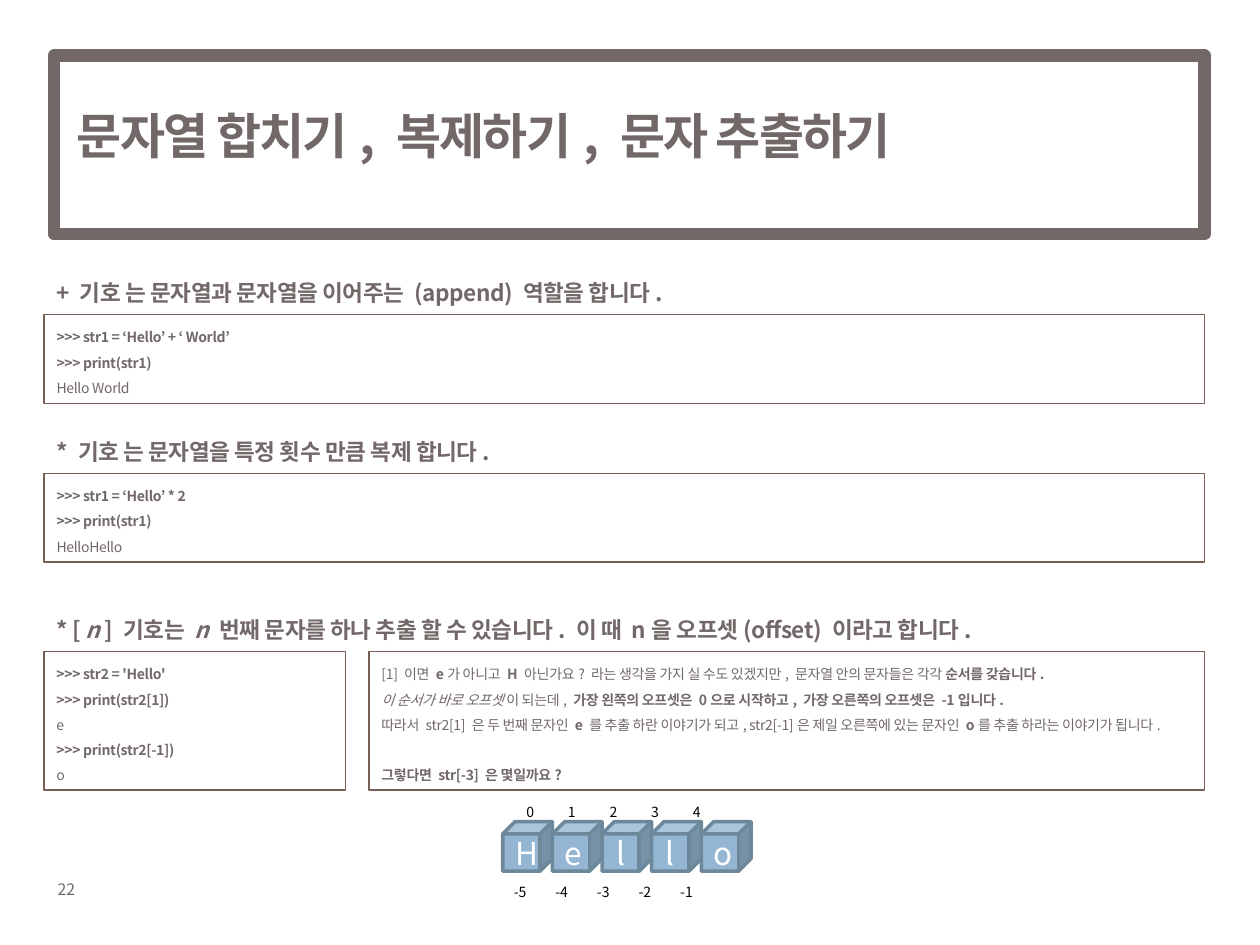
from collections import namedtuple
from dataclasses import dataclass

from lxml import etree
from pptx import Presentation
from pptx import util as u
from pptx.dml.color import RGBColor
from pptx.enum import shapes, text
from pptx.oxml.ns import qn

COLUMNS, ROWS = 100, 75
CELL = u.Inches(0.1)
Box = namedtuple("Box", "left top width height")


@dataclass(frozen=True)
class Theme:
    font: str = "Noto Sans CJK KR"
    ink: str = "726868"
    border: str = "775F55"
    cube: str = "94B6D2"
    cube_edge: str = "6D879B"
    white: str = "FFFFFF"
    black: str = "000000"
    title: float = 28
    heading: float = 12.9
    body: float = 8
    number: float = 9
    letter: float = 18


THEME = Theme()


def emu(box):
    return [round(value * CELL) for value in box]


def color(value):
    return RGBColor.from_string(value)


def format_run(run, size, ink=THEME.ink, style="", spacing=0):
    """Style holds b for bold and i for italic; spacing is in points."""
    font = run.font
    font.name, font.size = THEME.font, u.Pt(size)
    font.color.rgb = color(ink)
    font.bold, font.italic = "b" in style, "i" in style
    properties = run._r.get_or_add_rPr()
    east_asian = etree.Element(qn("a:ea"), typeface=THEME.font)
    properties.find(qn("a:latin")).addnext(east_asian)
    if spacing:
        properties.set("spc", str(round(spacing * 100)))


def write_lines(frame, lines, size, line_spacing):
    """Each line is a list of (words, style) pairs."""
    frame.word_wrap = True
    frame.vertical_anchor = text.MSO_ANCHOR.TOP
    for index, line in enumerate(lines):
        paragraph = frame.add_paragraph() if index else frame.paragraphs[0]
        paragraph.alignment = text.PP_ALIGN.LEFT
        paragraph.line_spacing = line_spacing
        hanging = u.Inches(0.25)
        properties = paragraph._p.get_or_add_pPr()
        properties.set("marL", str(hanging))
        properties.set("indent", str(-hanging))
        for words, style in line:
            run = paragraph.add_run()
            run.text = words
            format_run(run, size, style=style, spacing=-0.2)


def add_frame(slide, box, line_color, line_width):
    shape = slide.shapes.add_shape(shapes.MSO_SHAPE.RECTANGLE, *emu(box))
    shape.shadow.inherit = False
    shape.fill.background()
    shape.line.color.rgb = color(line_color)
    shape.line.width = u.Pt(line_width)
    return shape


def add_title(slide, box, words):
    title = slide.shapes.title
    title.left, title.top, title.width, title.height = emu(
        Box(box.left + 0.8, box.top, box.width - 6.3, box.height - 1.6))
    frame = title.text_frame
    frame.text = words
    frame.word_wrap = True
    frame.vertical_anchor = text.MSO_ANCHOR.MIDDLE
    frame.paragraphs[0].alignment = text.PP_ALIGN.LEFT
    format_run(frame.paragraphs[0].runs[0], THEME.title, style="b", spacing=-1)
    add_frame(slide, box, THEME.ink, 7)


def add_heading(slide, box, pieces):
    heading = slide.shapes.add_textbox(*emu(box))
    write_lines(heading.text_frame, [pieces], THEME.heading, 1.3)


def add_panel(slide, box, lines):
    panel = add_frame(slide, box, THEME.border, 0.75)
    write_lines(panel.text_frame, lines, THEME.body, 1.5)
    return panel


def console(*lines):
    """Prompt lines are bold, output lines plain."""
    return [[(line, "b" if line.startswith(">>>") else "")] for line in lines]


def add_section(slide, box, heading, panels):
    """Panels are (share of left, share of width, lines) across the box."""
    heading_height = 3.95
    add_heading(slide, box._replace(height=heading_height), heading)
    return [
        add_panel(slide, Box(box.left + box.width * left, box.top + heading_height,
                             box.width * width, box.height - heading_height), lines)
        for left, width, lines in panels
    ]


def add_offsets(slide, box, labels):
    label_box = slide.shapes.add_textbox(*emu(box))
    frame = label_box.text_frame
    frame.word_wrap = True
    paragraph = frame.paragraphs[0]
    tabs = etree.SubElement(paragraph._p.get_or_add_pPr(), qn("a:tabLst"))
    for step in range(1, len(labels)):
        etree.SubElement(tabs, qn("a:tab"), pos=str(u.Inches(0.33) * step), algn="l")
    paragraph.line_spacing = 1.5
    run = paragraph.add_run()
    run.text = "\t".join(labels)
    format_run(run, THEME.body, THEME.black)


def add_cubes(slide, box, word):
    size = box.width / len(word)
    for index, letter in enumerate(word):
        cube = slide.shapes.add_shape(
            shapes.MSO_SHAPE.CUBE, *emu(Box(box.left + index * size, box.top + 2.6, size, size)))
        cube.shadow.inherit = False
        cube.fill.solid()
        cube.fill.fore_color.rgb = color(THEME.cube)
        cube.line.color.rgb = color(THEME.cube_edge)
        cube.line.width = u.Pt(2)
        frame = cube.text_frame
        frame.text = letter
        frame.vertical_anchor = text.MSO_ANCHOR.MIDDLE
        frame.paragraphs[0].alignment = text.PP_ALIGN.CENTER
        format_run(frame.paragraphs[0].runs[0], THEME.letter, THEME.white)
    count = len(word)
    add_offsets(slide, Box(box.left + 0.9, box.top, box.width, 3),
                [str(index) for index in range(count)])
    add_offsets(slide, Box(box.left - 0.1, box.top + 6.4, box.width, 3),
                [str(index - count) for index in range(count)])


def add_page_number(slide, box, number):
    frame = slide.shapes.add_textbox(*emu(box)).text_frame
    frame.text = number
    format_run(frame.paragraphs[0].runs[0], THEME.number)


EXPLANATION = [
    [("[1] 이면 ", ""), ("e", "b"), ("가 아니고 ", ""), ("H", "b"),
     (" 아닌가요? 라는 생각을 가지 실 수도 있겠지만, 문자열 안의 문자들은 각각 ", ""),
     ("순서를 갖습니다.", "b")],
    [("이 순서가 바로 오프셋 ", "i"), ("이 되는데, ", ""),
     ("가장 왼쪽의 오프셋은 0으로 시작하고, 가장 오른쪽의 오프셋은 -1입니다.", "b")],
    [("따라서 str2[1] 은 두 번째 문자인 ", ""), ("e ", "b"),
     ("를 추출 하란 이야기가 되고, str2[-1]은 제일 오른쪽에 있는 문자인 ", ""),
     ("o", "b"), ("를 추출 하라는 이야기가 됩니다.", "")],
    [("그렇다면 str[-3] 은 몇일까요?", "b")],
]


def main():
    presentation = Presentation()
    presentation.slide_width, presentation.slide_height = COLUMNS * CELL, ROWS * CELL
    slide = presentation.slides.add_slide(presentation.slide_layouts[5])
    add_title(slide, Box(4.3, 4.4, 91.3, 14.2), "문자열 합치기, 복제하기, 문자 추출하기")
    left, width = 3.5, 92.1
    add_section(slide, Box(left, 21, width, 11),
                [("+ 기호 는 문자열과 문자열을 이어주는 (append) 역할을 합니다.", "b")],
                [(0, 1, console(">>> str1 = ‘Hello’ + ‘ World’", ">>> print(str1)", "Hello World"))])
    add_section(slide, Box(left, 33.6, width, 11),
                [("* 기호 는 문자열을 특정 횟수 만큼 복제 합니다.", "b")],
                [(0, 1, console(">>> str1 = ‘Hello’ * 2", ">>> print(str1)", "HelloHello"))])
    code = console(">>> str2 = 'Hello'", ">>> print(str2[1])", "e", ">>> print(str2[-1])", "o")
    panels = add_section(
        slide, Box(left, 47.75, width, 14.95),
        [("* [ ", "b"), ("n", "bi"), (" ] 기호는 ", "b"), ("n ", "bi"),
         ("번째 문자를 하나 추출 할 수 있습니다. 이 때 n을 오프셋(offset) 이라고 합니다.", "b")],
        [(0, 0.26, code), (0.28, 0.72, EXPLANATION)])
    panels[1].text_frame.paragraphs[-1].space_before = u.Pt(14.4)
    add_cubes(slide, Box(39.9, 62.6, 19.7, 9.4), "Hello")
    add_page_number(slide, Box(3.6, 69.3, 5.2, 2.5), "22")
    presentation.save("out.pptx")


if __name__ == "__main__":
    main()
